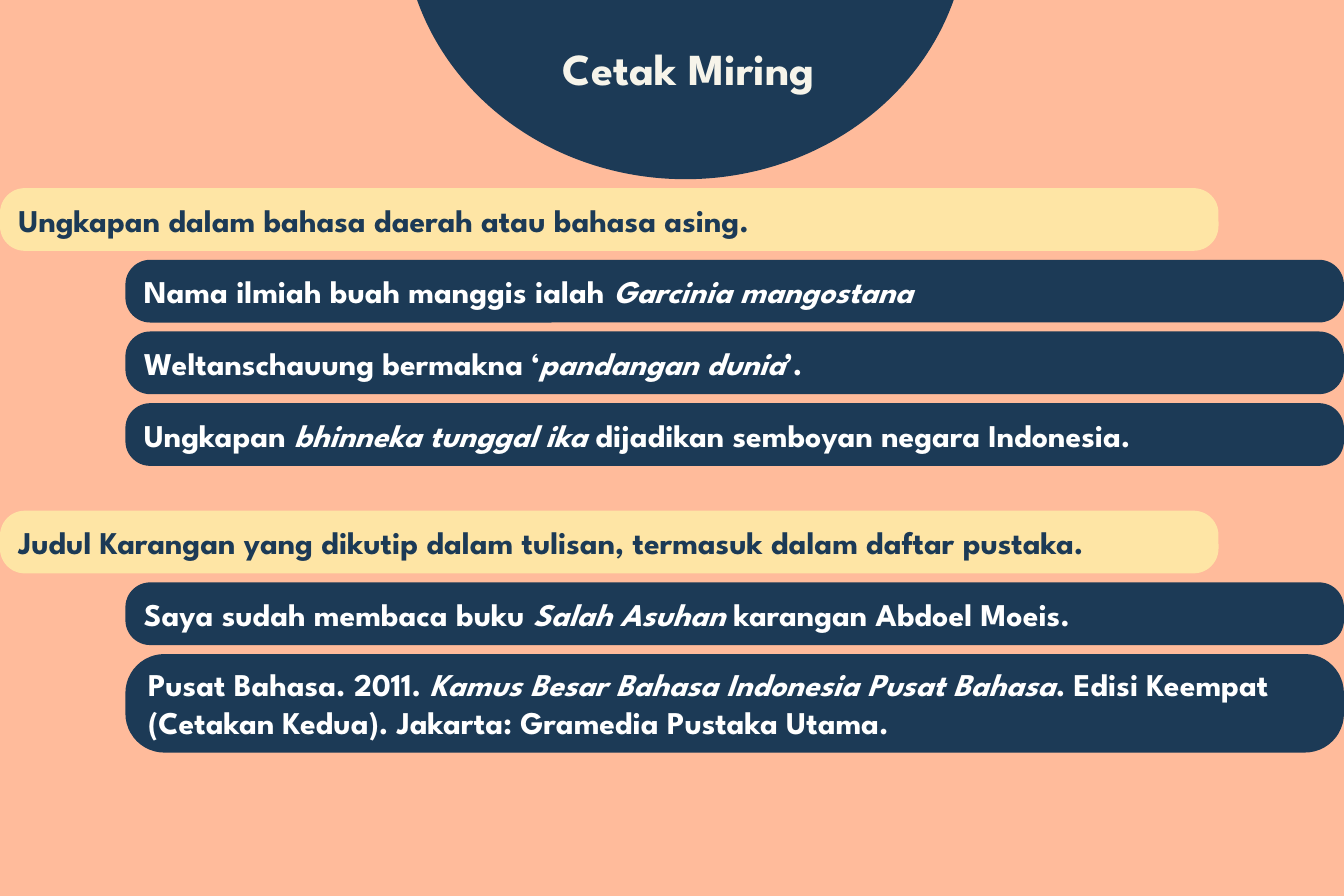
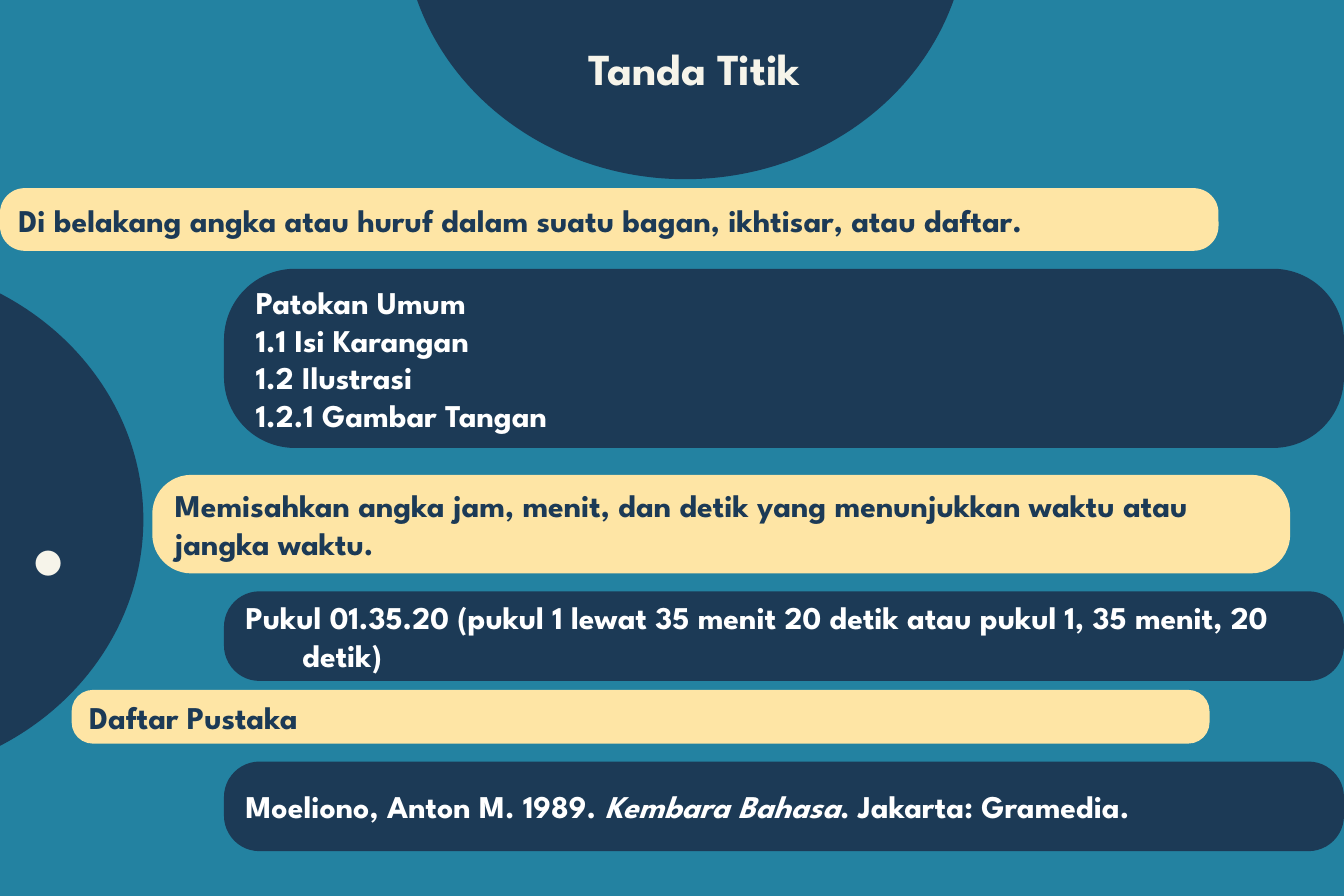
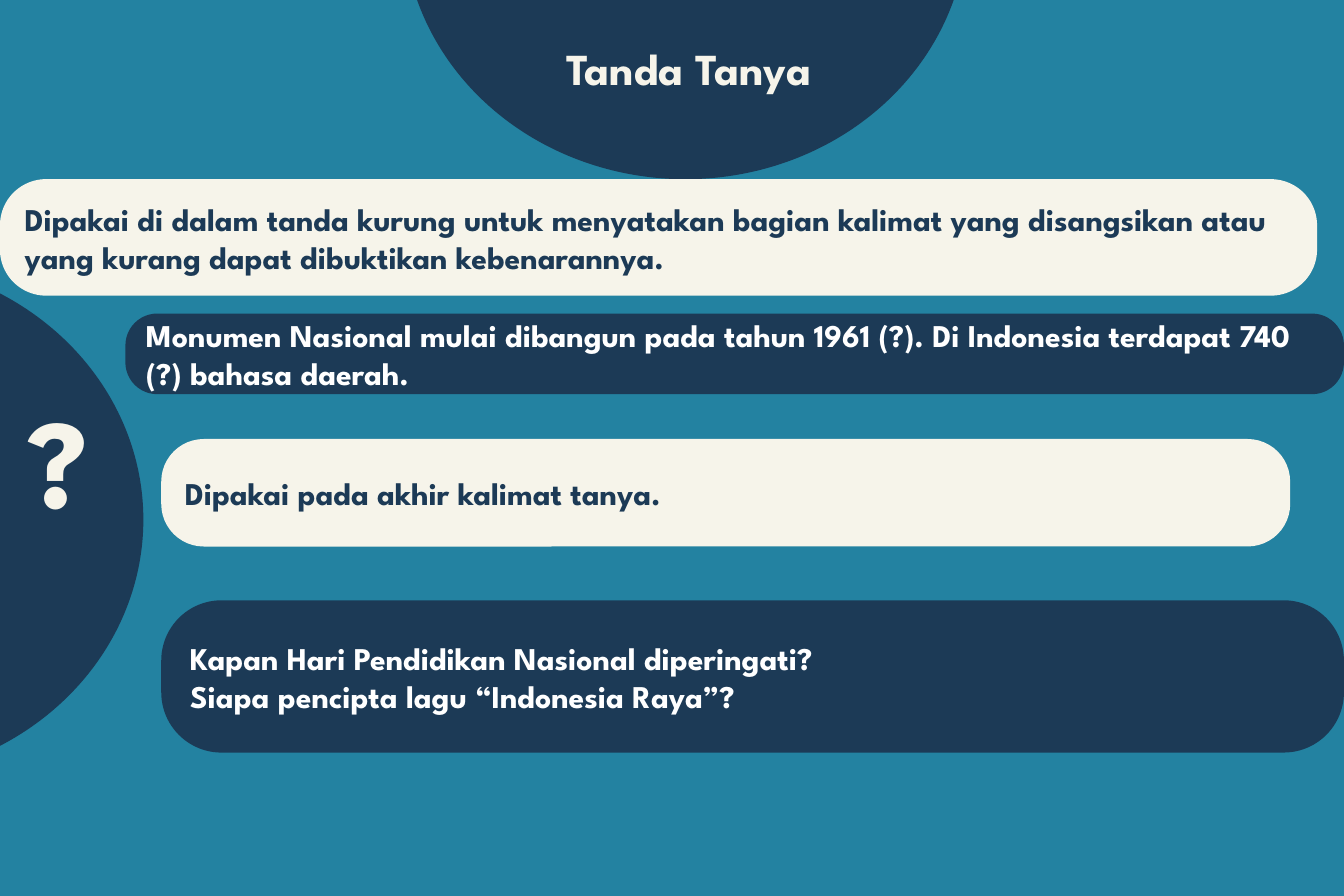
import pptx
import pptx.dml.color
import pptx.enum.shapes
import pptx.enum.text
import pptx.util
from pptx.util import Cm

WIDTH, HEIGHT = 30, 20
NAVY, CREAM, YELLOW, WHITE = "1C3A56", "F6F4EA", "FEE5A5", "FFFFFF"
PEACH, TEAL = "FFBB9B", "2382A1"
SHAPES = pptx.enum.shapes.MSO_SHAPE
ALIGN = pptx.enum.text.PP_ALIGN


def paint(color_owner, color):
    color_owner.solid()
    color_owner.fore_color.rgb = pptx.dml.color.RGBColor.from_string(color)


def write(frame, text, size=20, color=NAVY, align=ALIGN.LEFT, hanging=0):
    """Each line is a paragraph; text between asterisks is italic."""
    frame.word_wrap = True
    for index, line in enumerate(text.split("\n")):
        paragraph = frame.paragraphs[0] if index == 0 else frame.add_paragraph()
        paragraph.alignment = align
        if hanging:
            properties = paragraph._p.get_or_add_pPr()
            properties.set("marL", str(Cm(hanging)))
            properties.set("indent", str(-Cm(hanging)))
        for position, part in enumerate(line.split("*")):
            if part:
                run = paragraph.add_run()
                run.text = part
                run.font.name = "League Spartan"
                run.font.size = pptx.util.Pt(size)
                run.font.bold = True
                run.font.italic = position % 2 == 1
                paint(run.font.fill, color)


class Deck:
    def __init__(self):
        self.presentation = pptx.Presentation()
        self.presentation.slide_width = Cm(WIDTH)
        self.presentation.slide_height = Cm(HEIGHT)
        self.slide = None

    def start(self, title, background):
        self.slide = self.presentation.slides.add_slide(
            self.presentation.slide_layouts[6])
        paint(self.slide.background.fill, background)
        self.disc(9, -7.6)
        self.label(10.6, 0.8, 1.45, title, 28)

    def shape(self, kind, left, top, width, height, color):
        shape = self.slide.shapes.add_shape(
            kind, Cm(left), Cm(top), Cm(width), Cm(height))
        shape.shadow.inherit = False
        paint(shape.fill, color)
        shape.line.fill.background()
        return shape

    def disc(self, left, top):
        self.shape(SHAPES.OVAL, left, top, 12.6, 11.6, NAVY)

    def label(self, left, top, height, text, size):
        box = self.slide.shapes.add_textbox(Cm(left), Cm(top), Cm(9.8), Cm(height))
        box.text_frame.auto_size = pptx.enum.text.MSO_AUTO_SIZE.SHAPE_TO_FIT_TEXT
        write(box.text_frame, text, size=size, color=CREAM, align=ALIGN.CENTER)

    def mark(self, left, top, height, symbol, size):
        self.disc(-9.4, 5.8)
        self.label(left, top, height, symbol, size)

    def bar(self, left, top, width, height, fill, text, **text_format):
        bar = self.shape(SHAPES.ROUNDED_RECTANGLE, left, top, width, height, fill)
        bar.adjustments[0] = 0.396
        bar.text_frame.vertical_anchor = pptx.enum.text.MSO_ANCHOR.MIDDLE
        write(bar.text_frame, text, **text_format)

    def rule(self, top, text, left=0, width=27.2, height=1.4, fill=YELLOW):
        self.bar(left, top, width, height, fill, text)

    def example(self, top, text, left=2.8, height=1.4, hanging=0):
        self.bar(left, top, WIDTH - left, height, NAVY, text,
                 color=WHITE, hanging=hanging)


def italics(deck):
    deck.start("Cetak Miring ", PEACH)
    step = 1.6
    groups = [
        (4.2, "Ungkapan dalam bahasa daerah atau bahasa asing.", [
            "Nama ilmiah buah manggis ialah *Garcinia mangostana*",
            "Weltanschauung bermakna ‘*pandangan dunia*’.",
            "Ungkapan *bhinneka tunggal ika *dijadikan semboyan negara Indonesia.",
        ]),
        (11.4, "Judul Karangan yang dikutip dalam tulisan, termasuk dalam daftar pustaka.", [
            "Saya sudah membaca buku *Salah Asuhan* karangan Abdoel Moeis.",
        ]),
    ]
    for top, usage, examples in groups:
        deck.rule(top, usage)
        for number, sentence in enumerate(examples, 1):
            deck.example(top + number * step, sentence)
    deck.example(
        14.6, "Pusat Bahasa. 2011. *Kamus Besar Bahasa Indonesia Pusat Bahasa*. "
        "Edisi Keempat (Cetakan Kedua). Jakarta: Gramedia Pustaka Utama.", height=2.2)


def full_stop(deck):
    deck.start("Tanda Titik", TEAL)
    deck.mark(-3.8, 9.6, 4, ".", 88)
    deck.rule(4.2, "Di belakang angka atau huruf dalam suatu bagan, ikhtisar, atau daftar.")
    deck.rule(10.6, "Memisahkan angka jam, menit, dan detik yang menunjukkan waktu "
              "atau jangka waktu.", left=3.4, width=25.4, height=2.2)
    deck.rule(15.4, "Daftar Pustaka", left=1.6, width=25.4, height=1.2)
    for top, height, sentence in [
        (6, 4, "Patokan Umum\n1.1 Isi Karangan\n1.2 Ilustrasi\n1.2.1 Gambar Tangan"),
        (13.2, 2, "Pukul 01.35.20 (pukul 1 lewat 35 menit 20 detik atau pukul 1, "
                  "35 menit, 20 detik)"),
        (17, 2, "Moeliono, Anton M. 1989. *Kembara Bahasa*. Jakarta: Gramedia."),
    ]:
        deck.example(top, sentence, left=5, height=height, hanging=1.27)


def question_mark(deck):
    deck.start("Tanda Tanya ", TEAL)
    deck.mark(-3.6, 8.4, 3.68, "?", 80)
    deck.rule(4, "Dipakai di dalam tanda kurung untuk menyatakan bagian kalimat yang "
              "disangsikan atau yang kurang dapat dibuktikan kebenarannya.",
              width=29.4, height=2.6, fill=CREAM)
    deck.example(7, "Monumen Nasional mulai dibangun pada tahun 1961 (?). "
                 "Di Indonesia terdapat 740 (?) bahasa daerah.", height=1.8)
    deck.rule(9.8, "Dipakai pada akhir kalimat tanya.",
              left=3.6, width=25.2, height=2.4, fill=CREAM)
    deck.example(13.4, "Kapan Hari Pendidikan Nasional diperingati?\n"
                 "Siapa pencipta lagu “Indonesia Raya”?", left=3.6, height=3.4)


def main():
    deck = Deck()
    italics(deck)
    full_stop(deck)
    question_mark(deck)
    deck.presentation.save("out.pptx")


if __name__ == "__main__":
    main()
